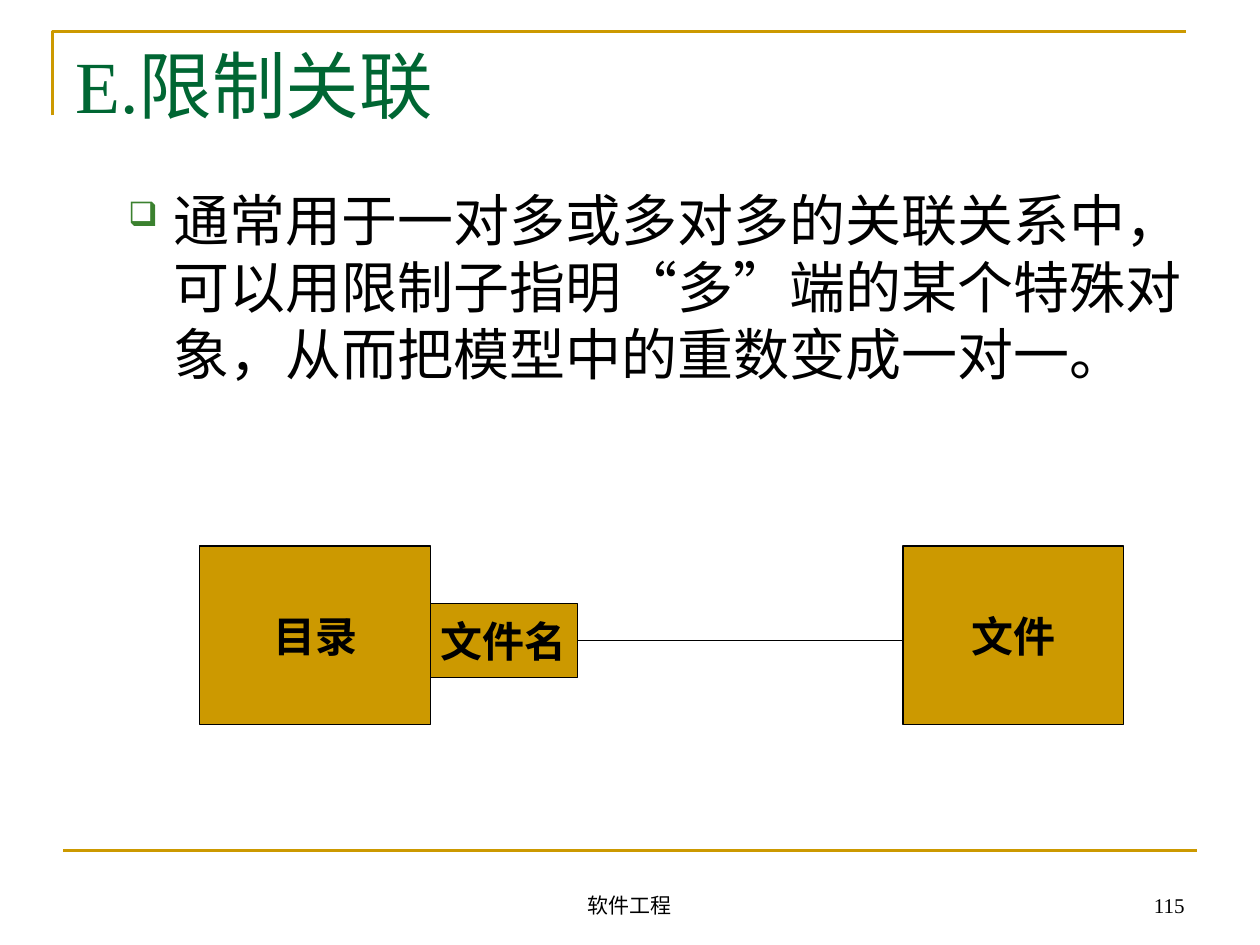
"""Build a slide on qualified associations with a small class diagram."""
import dataclasses

import lxml.etree
import pptx
import pptx.dml.color
import pptx.enum.shapes
import pptx.enum.text
import pptx.oxml.ns
import pptx.util

Pt = pptx.util.Pt
Align = pptx.enum.text.PP_ALIGN
Anchor = pptx.enum.text.MSO_ANCHOR
qn = pptx.oxml.ns.qn

COLORS = {"gold": "CC9900", "green": "006633", "bullet": "3B812F", "ink": "000000"}


@dataclasses.dataclass(frozen=True)
class Area:
    left: float
    top: float
    width: float
    height: float

    def in_points(self) -> tuple:
        return Pt(self.left), Pt(self.top), Pt(self.width), Pt(self.height)


@dataclasses.dataclass(frozen=True)
class Style:
    font: str
    size: float
    color: str = "ink"
    bold: bool = False
    align: Align = Align.LEFT
    anchor: Anchor = Anchor.TOP
    wrap: bool = True


@dataclasses.dataclass(frozen=True)
class Label:
    text: str
    area: Area
    style: Style


def rgb(name: str) -> pptx.dml.color.RGBColor:
    return pptx.dml.color.RGBColor.from_string(COLORS[name])


def write(box, text: str, style: Style):
    frame = box.text_frame
    frame.word_wrap = style.wrap
    frame.vertical_anchor = style.anchor
    para = frame.paragraphs[0]
    para.alignment = style.align
    span = para.add_run()
    span.text = text
    span.font.name = style.font
    span.font.size = Pt(style.size)
    span.font.bold = style.bold
    span.font.color.rgb = rgb(style.color)
    return para


def add_label(page, label: Label):
    box = page.shapes.add_textbox(*label.area.in_points())
    return write(box, label.text, label.style)


def add_class(page, label: Label):
    box = page.shapes.add_shape(
        pptx.enum.shapes.MSO_SHAPE.RECTANGLE, *label.area.in_points())
    box.shadow.inherit = False
    box.fill.solid()
    box.fill.fore_color.rgb = rgb("gold")
    box.line.color.rgb = rgb("ink")
    box.line.width = Pt(0.75)
    write(box, label.text, label.style)
    return box


def add_rule(page, start: tuple, end: tuple, color: str, width: float):
    rule = page.shapes.add_connector(
        pptx.enum.shapes.MSO_CONNECTOR.STRAIGHT,
        *(Pt(value) for value in start + end))
    rule.line.color.rgb = rgb(color)
    rule.line.width = Pt(width)
    lxml.etree.SubElement(rule._element.spPr, qn("a:effectLst"))
    return rule


def add_corner(page, area: Area) -> None:
    right, bottom = area.left + area.width, area.top + area.height
    builder = page.shapes.build_freeform(Pt(area.left), Pt(bottom))
    builder.add_line_segments(
        [(Pt(area.left), Pt(area.top)), (Pt(right), Pt(area.top))], close=False)
    corner = builder.convert_to_shape()
    corner.shadow.inherit = False
    corner.fill.background()
    corner.line.color.rgb = rgb("gold")
    corner.line.width = Pt(1.5)


def add_bullet(para, mark: str, margin: float, hanging: float) -> None:
    props = para._p.get_or_add_pPr()
    props.set("marL", str(Pt(margin)))
    props.set("indent", str(Pt(-hanging)))
    color = lxml.etree.SubElement(props, qn("a:buClr"))
    lxml.etree.SubElement(color, qn("a:srgbClr"), val=COLORS["bullet"])
    lxml.etree.SubElement(props, qn("a:buSzPct"), val="60000")
    lxml.etree.SubElement(props, qn("a:buChar"), char=mark)


TITLE = Style("Times New Roman", 42, "green")
BODY = Style("Arial", 32)
CLASS = Style("Roboto", 24, bold=True, align=Align.CENTER,
              anchor=Anchor.MIDDLE, wrap=False)
FOOTER = Style("Times New Roman", 12, align=Align.CENTER, anchor=Anchor.BOTTOM)
NUMBER = dataclasses.replace(FOOTER, align=Align.RIGHT)

STATEMENT = Label(
    "通常用于一对多或多对多的关联关系中，可以用限制子指明“多”端的某个特殊对象，"
    "从而把模型中的重数变成一对一。", Area(39.6, 102.2, 651, 135.4), BODY)
DIRECTORY = Label("目录", Area(114, 312, 132, 102), CLASS)
FILE = Label("文件", Area(516, 312, 126, 102), CLASS)
QUALIFIER = Label("文件名", Area(246, 345, 84, 42), CLASS)
PAGE_LABELS = [
    Label("E.限制关联", Area(36, 19.5, 648, 70), TITLE),
    Label("软件工程", Area(246, 492, 228, 36), FOOTER),
    Label("115", Area(516, 492, 168, 36), NUMBER),
]


def main() -> None:
    deck = pptx.Presentation()
    deck.slide_width, deck.slide_height = Pt(720), Pt(540)
    page = deck.slides.add_slide(deck.slide_layouts[6])

    add_corner(page, Area(30, 18, 648, 48))
    add_rule(page, (36, 486), (684, 486), "gold", 1.5)
    add_bullet(add_label(page, STATEMENT), "❑", 52.5, 26)

    add_class(page, DIRECTORY)
    add_class(page, FILE)
    qualifier = add_class(page, QUALIFIER)
    middle = QUALIFIER.area.top + QUALIFIER.area.height / 2
    link = add_rule(page, (QUALIFIER.area.left + QUALIFIER.area.width, middle),
                    (FILE.area.left, middle), "ink", 0.75)
    link.begin_connect(qualifier, 3)

    for label in PAGE_LABELS:
        add_label(page, label)
    deck.save("out.pptx")


if __name__ == "__main__":
    main()
